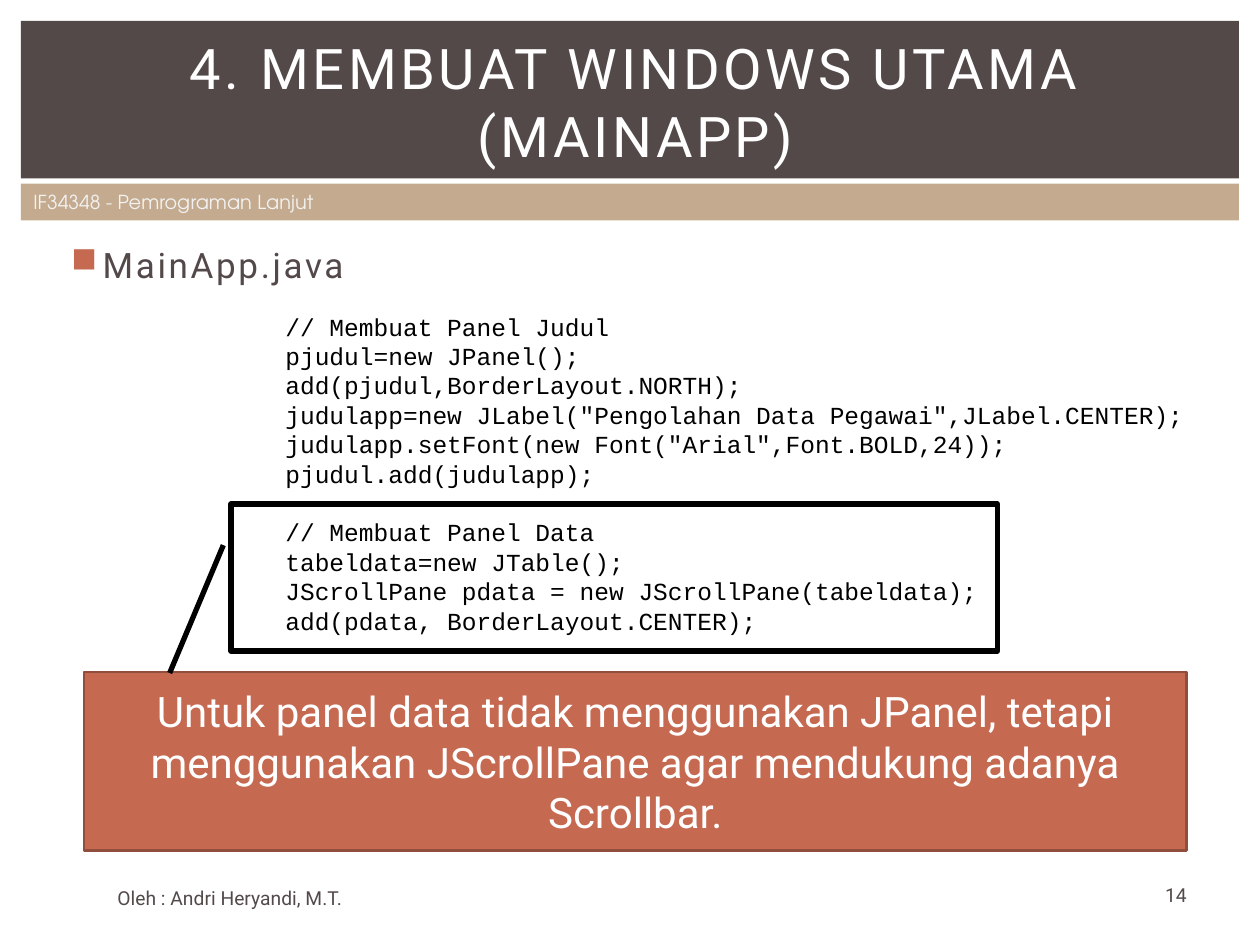
from lxml import etree
from pptx import Presentation
from pptx.dml.color import RGBColor
from pptx.enum.shapes import MSO_SHAPE
from pptx.enum.text import MSO_ANCHOR, PP_ALIGN
from pptx.oxml.ns import qn
from pptx.util import Pt

RECTANGLE, CALLOUT = MSO_SHAPE.RECTANGLE, MSO_SHAPE.LINE_CALLOUT_1
TOP, MIDDLE = MSO_ANCHOR.TOP, MSO_ANCHOR.MIDDLE
LEFT, CENTER = PP_ALIGN.LEFT, PP_ALIGN.CENTER
SANS, MONO, GEOMETRIC = "Roboto", "Courier New", "TeX Gyre Adventor"
COLORS = {
    "dark": "534949", "tan": "C4AB8F", "rust": "C66951", "rust_edge": "924E3C",
    "white": "FFFFFF", "pale": "F2F2F2", "black": "000000",
}
PANEL_CODE = [
    ["// Membuat Panel Judul",
     "pjudul=new JPanel();",
     "add(pjudul,BorderLayout.NORTH);",
     'judulapp=new JLabel("Pengolahan Data Pegawai",JLabel.CENTER);',
     'judulapp.setFont(new Font("Arial",Font.BOLD,24));',
     "pjudul.add(judulapp);"],
    ["// Membuat Panel Data",
     "tabeldata=new JTable();",
     "JScrollPane pdata = new JScrollPane(tabeldata);",
     "add(pdata, BorderLayout.CENTER);"],
]


def rgb(color):
    """Return the named colour."""
    return RGBColor.from_string(COLORS[color])


def write(frame, text, size=11, font=SANS, color="dark", align=LEFT,
          anchor=TOP, tracking=0, before=0, first=True):
    """Write one formatted paragraph into a text frame and return it."""
    frame.word_wrap = True
    frame.vertical_anchor = anchor
    paragraph = frame.paragraphs[0] if first else frame.add_paragraph()
    paragraph.alignment = align
    paragraph.space_before = Pt(before)
    run = paragraph.add_run()
    run.text = text
    run.font.size = Pt(size)
    run.font.name = font
    run.font.color.rgb = rgb(color)
    if tracking:
        run.font._element.set("spc", str(int(tracking * 100)))
    return paragraph


def add_text_frame(slide, left, top, width, height):
    """Add a text box and return its text frame."""
    return slide.shapes.add_textbox(Pt(left), Pt(top), Pt(width), Pt(height)).text_frame


def add_box(slide, left, top, width, height, preset=RECTANGLE, fill=None, edge=None, weight=0):
    """Add a flat preset shape with optional fill and outline."""
    box = slide.shapes.add_shape(preset, Pt(left), Pt(top), Pt(width), Pt(height))
    box.shadow.inherit = False
    if fill:
        box.fill.solid()
        box.fill.fore_color.rgb = rgb(fill)
    else:
        box.fill.background()
    if edge:
        box.line.color.rgb = rgb(edge)
        box.line.width = Pt(weight)
    else:
        box.line.fill.background()
    return box


def add_bullet(paragraph, color, margin, hang):
    """Give a paragraph a coloured square bullet and a hanging indent."""
    properties = paragraph._p.get_or_add_pPr()
    properties.set("marL", str(Pt(margin)))
    properties.set("indent", str(-Pt(hang)))
    bullet_color = etree.SubElement(properties, qn("a:buClr"))
    etree.SubElement(bullet_color, qn("a:srgbClr"), val=COLORS[color])
    etree.SubElement(properties, qn("a:buChar"), char="■")


def add_header(slide, left, top, width):
    """Place the title band and the course strip below it."""
    add_box(slide, left, top, width, 90, fill="dark")
    course = add_box(slide, left, top + 93, width, 21, fill="tan")
    write(course.text_frame, "IF34348 - Pemrograman Lanjut", font=GEOMETRIC, color="pale")
    title = add_text_frame(slide, left + 18, top + 12, width - 29.5, 67.5)
    write(title, "4. MEMBUAT WINDOWS UTAMA (MAINAPP)", size=32, color="white",
          align=CENTER, anchor=MIDDLE, tracking=2)


def add_listing(slide, left, top, width):
    """Place the file name and the code blocks under it."""
    file_name = add_text_frame(slide, left, top, width, 36)
    heading = write(file_name, "MainApp.java", size=20, tracking=1.5, before=4)
    add_bullet(heading, "rust", 21.6, 18)
    code = add_text_frame(slide, left + 126, top + 39, width - 110, 190)
    for block_index, block in enumerate(PANEL_CODE):
        for line_index, line in enumerate(block):
            starts_block = line_index == 0
            write(code, line, size=14, font=MONO, color="black",
                  before=16.8 if starts_block and block_index else 0,
                  first=starts_block and block_index == 0)


def add_explanation(slide, left, top, width):
    """Place the remark and the callout that ties it to the data panel code."""
    remark = add_box(slide, left, top, width, 102, fill="rust", edge="rust_edge", weight=1.5)
    write(remark.text_frame,
          "Untuk panel data tidak menggunakan JPanel, tetapi menggunakan "
          "JScrollPane agar mendukung adanya Scrollbar.",
          size=24, color="white", align=CENTER, anchor=MIDDLE)
    callout = add_box(slide, left + 84, top - 96, 438, 84, preset=CALLOUT,
                      edge="black", weight=3)
    for index, ratio in enumerate((0.28, -0.01, 1.15, -0.08)):
        callout.adjustments[index] = ratio


def add_footer(slide, left, top):
    """Place the author and the page number."""
    author = add_text_frame(slide, left, top + 1.5, 264, 21.6)
    write(author, "Oleh : Andri Heryandi, M.T.", anchor=MIDDLE)
    page = add_text_frame(slide, left + 589, top, 46, 21.6)
    write(page, "14", align=CENTER, anchor=MIDDLE)


def main():
    """Build the slide and save it."""
    deck = Presentation()
    deck.slide_width, deck.slide_height = Pt(720), Pt(540)
    slide = deck.slides.add_slide(deck.slide_layouts[6])
    add_header(slide, 12, 12, 696)
    add_listing(slide, 30, 135.5, 662)
    add_explanation(slide, 48, 384, 630)
    add_footer(slide, 60, 500.5)
    deck.save("out.pptx")


if __name__ == "__main__":
    main()
